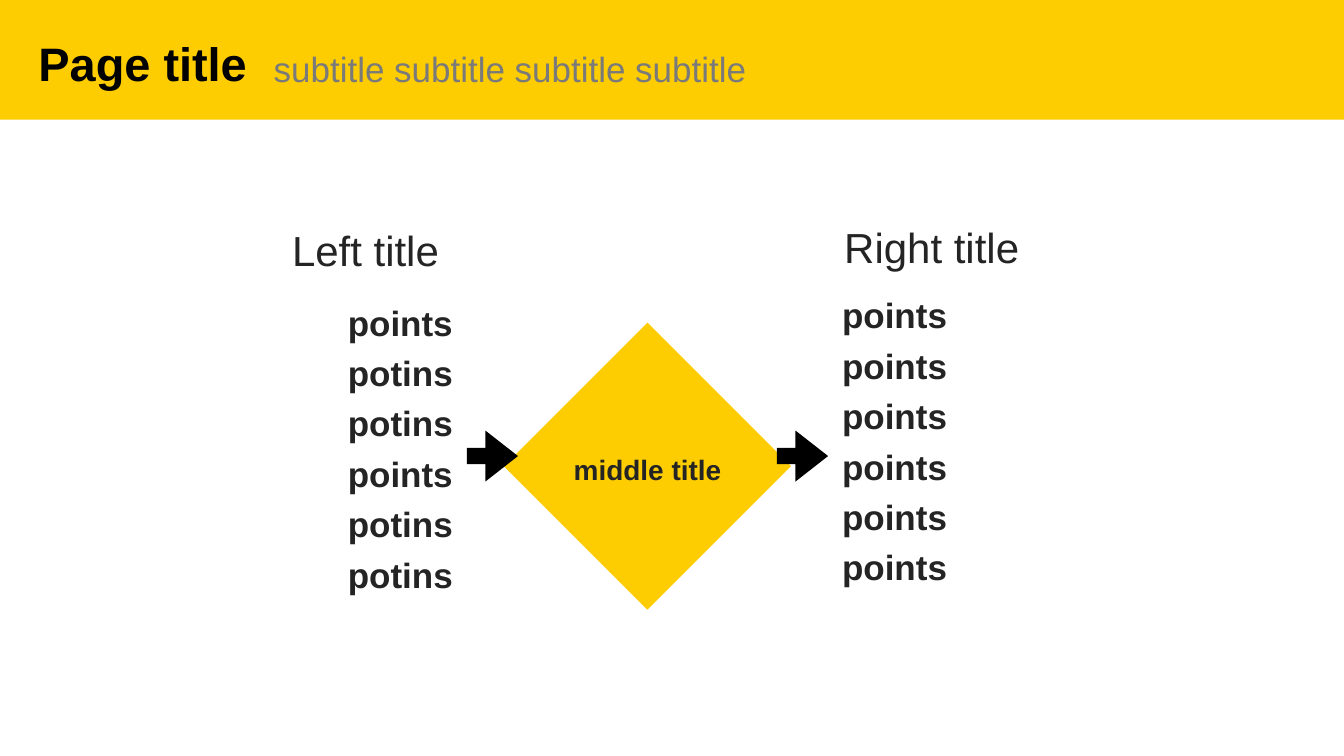
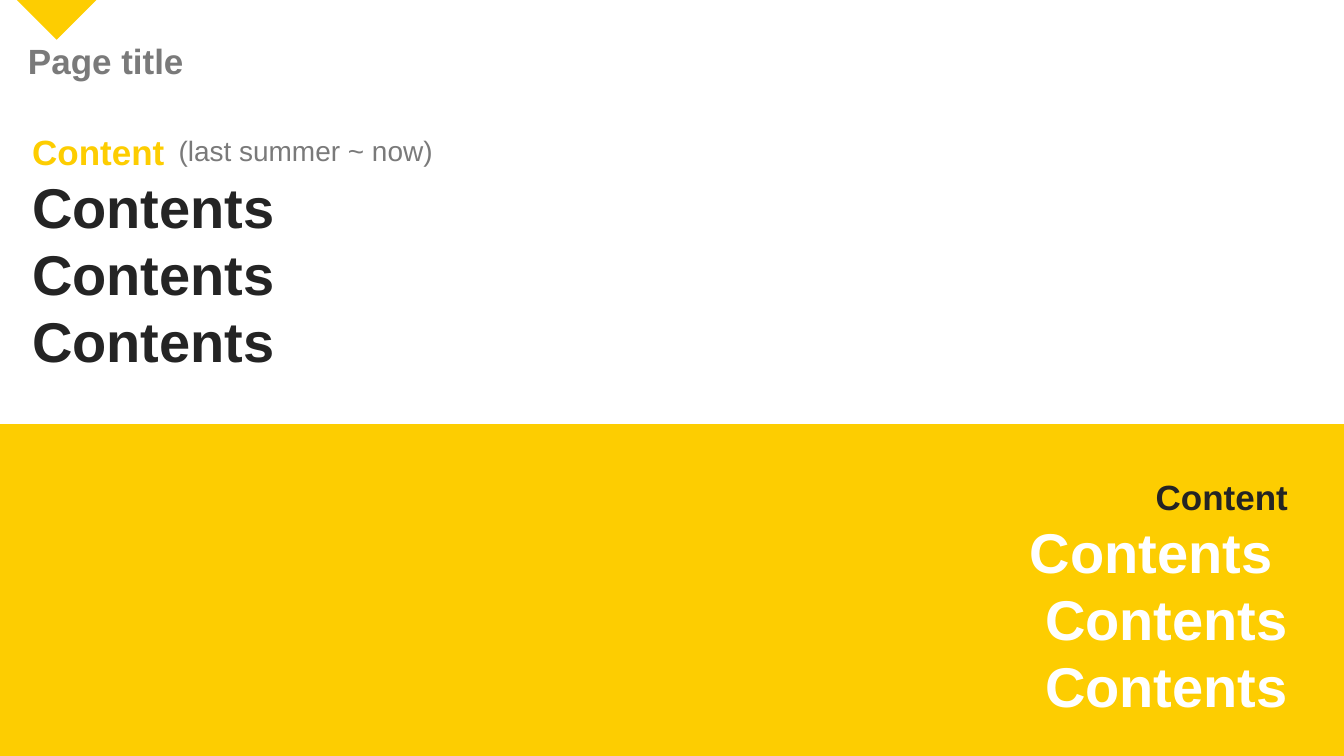
from pptx import Presentation
from pptx.dml.color import RGBColor
from pptx.enum.shapes import MSO_SHAPE
from pptx.enum.text import MSO_ANCHOR, MSO_AUTO_SIZE, PP_ALIGN
from pptx.util import Pt

PX = 12700  # EMU per px: the slide is 1920 x 1080 px
YELLOW = RGBColor(0xFD, 0xCD, 0x01)
BLACK = RGBColor(0x00, 0x00, 0x00)
DARK = RGBColor(0x24, 0x24, 0x24)
GREY = RGBColor(0x7A, 0x7A, 0x7A)
WHITE = RGBColor(0xFF, 0xFF, 0xFF)
FONT = "Arial"
INSET = 4
TITLE_ONLY = 5

RECTANGLE = MSO_SHAPE.RECTANGLE
RIGHT_ARROW = MSO_SHAPE.RIGHT_ARROW
LEFT, CENTER, RIGHT = PP_ALIGN.LEFT, PP_ALIGN.CENTER, PP_ALIGN.RIGHT
TOP, MIDDLE = MSO_ANCHOR.TOP, MSO_ANCHOR.MIDDLE
FIT_SHAPE = MSO_AUTO_SIZE.SHAPE_TO_FIT_TEXT


def add_text(slide, text, box, size=50, color=DARK, bold=False, align=LEFT,
             anchor=MIDDLE, spacing=1.0, title=False):
    """Fill the title placeholder or a new text box, one paragraph per line."""
    left, top, width, height = [value * PX for value in box]
    if title:
        shape = slide.shapes.title
        shape.left, shape.top, shape.width, shape.height = left, top, width, height
    else:
        shape = slide.shapes.add_textbox(left, top, width, height)
    frame = shape.text_frame
    frame.text = text
    frame.word_wrap = False
    frame.auto_size = FIT_SHAPE
    frame.vertical_anchor = anchor
    frame.margin_left = frame.margin_right = INSET * PX
    frame.margin_top = frame.margin_bottom = INSET * PX
    for paragraph in frame.paragraphs:
        paragraph.alignment = align
        paragraph.line_spacing = spacing
        for run in paragraph.runs:
            run.font.name = FONT
            run.font.size = Pt(size)
            run.font.bold = bold
            run.font.color.rgb = color
    return shape


def add_block(slide, kind, box, color=YELLOW, rotation=0):
    """Add a plain filled shape without line or shadow."""
    shape = slide.shapes.add_shape(kind, *[value * PX for value in box])
    shape.rotation = rotation
    shape.shadow.inherit = False
    shape.fill.solid()
    shape.fill.fore_color.rgb = color
    shape.line.fill.background()
    return shape


presentation = Presentation()
presentation.slide_width = 1920 * PX
presentation.slide_height = 1080 * PX
layout = presentation.slide_layouts[TITLE_ONLY]

# Slide 1: header band, with the title in front of it
slide = presentation.slides.add_slide(layout)
band = add_block(slide, RECTANGLE, (-12, -3, 1937, 174))
slide.shapes.title.element.addprevious(band.element)
add_text(slide, "Page title", (51, 46, 307, 88), size=67, color=BLACK,
         bold=True, title=True)
add_text(slide, "subtitle subtitle subtitle subtitle", (387, 64, 685, 68),
         color=GREY)

# Diamond between the two lists
add_block(slide, RECTANGLE, (780, 521, 290, 290), rotation=315)
add_text(slide, "middle title", (815, 638, 220, 56), size=40, bold=True,
         align=CENTER, spacing=1.2)

# Arrows into and out of the diamond
for arrow_left in (667, 1110):
    arrow = add_block(slide, RIGHT_ARROW, (arrow_left, 615, 73, 73), color=BLACK)
    arrow.adjustments[0] = 0.32
    arrow.adjustments[1] = 0.64

# Left and right columns
left_points = ["points", "potins", "potins"] * 2
right_points = ["points"] * 6
columns = [
    ("Left title ", (413, 309, 235, 80), left_points, (478, 420, 173, 428),
     RIGHT, MIDDLE),
    ("Right title", (1202, 305, 259, 80), right_points, (1199, 404, 173, 428),
     LEFT, TOP),
]
for heading, heading_box, points, points_box, align, anchor in columns:
    add_text(slide, heading, heading_box, size=60, align=align, spacing=1.2)
    add_text(slide, "\n".join(points), points_box, bold=True, align=align,
             anchor=anchor, spacing=1.2)

# Slide 2: lower band, corner diamond and title
slide = presentation.slides.add_slide(layout)
add_block(slide, RECTANGLE, (-6, 606, 1931, 492))
add_block(slide, RECTANGLE, (31, -64, 100, 100), rotation=315)
add_text(slide, "Page title", (36, 52, 231, 68), color=GREY, bold=True,
         title=True)

# Content lists, each under a smaller lead line
content_lists = [
    ("Content\nContents\nContents\nContents", (42, 182, 378, 356),
     YELLOW, DARK, LEFT),
    ("Content\nContents \nContents\nContents", (1444, 675, 400, 356),
     DARK, WHITE, RIGHT),
]
for text, box, lead_color, color, align in content_lists:
    content = add_text(slide, text, box, size=80, color=color, bold=True,
                       align=align)
    lead = content.text_frame.paragraphs[0].runs[0]
    lead.font.size = Pt(50)
    lead.font.color.rgb = lead_color
add_text(slide, "(last summer ~ now)", (251, 186, 372, 56), size=40, color=GREY)

presentation.save("out.pptx")
